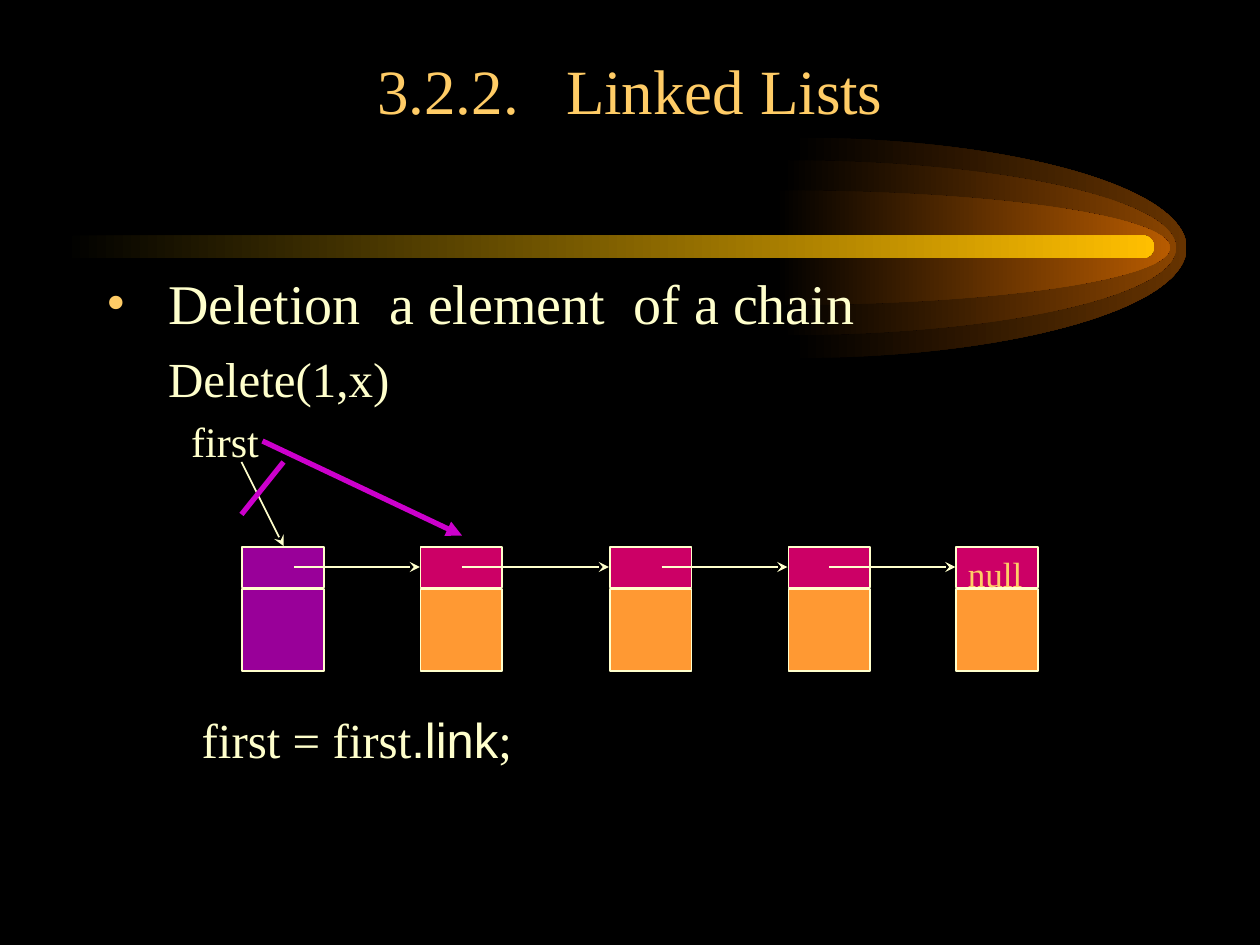
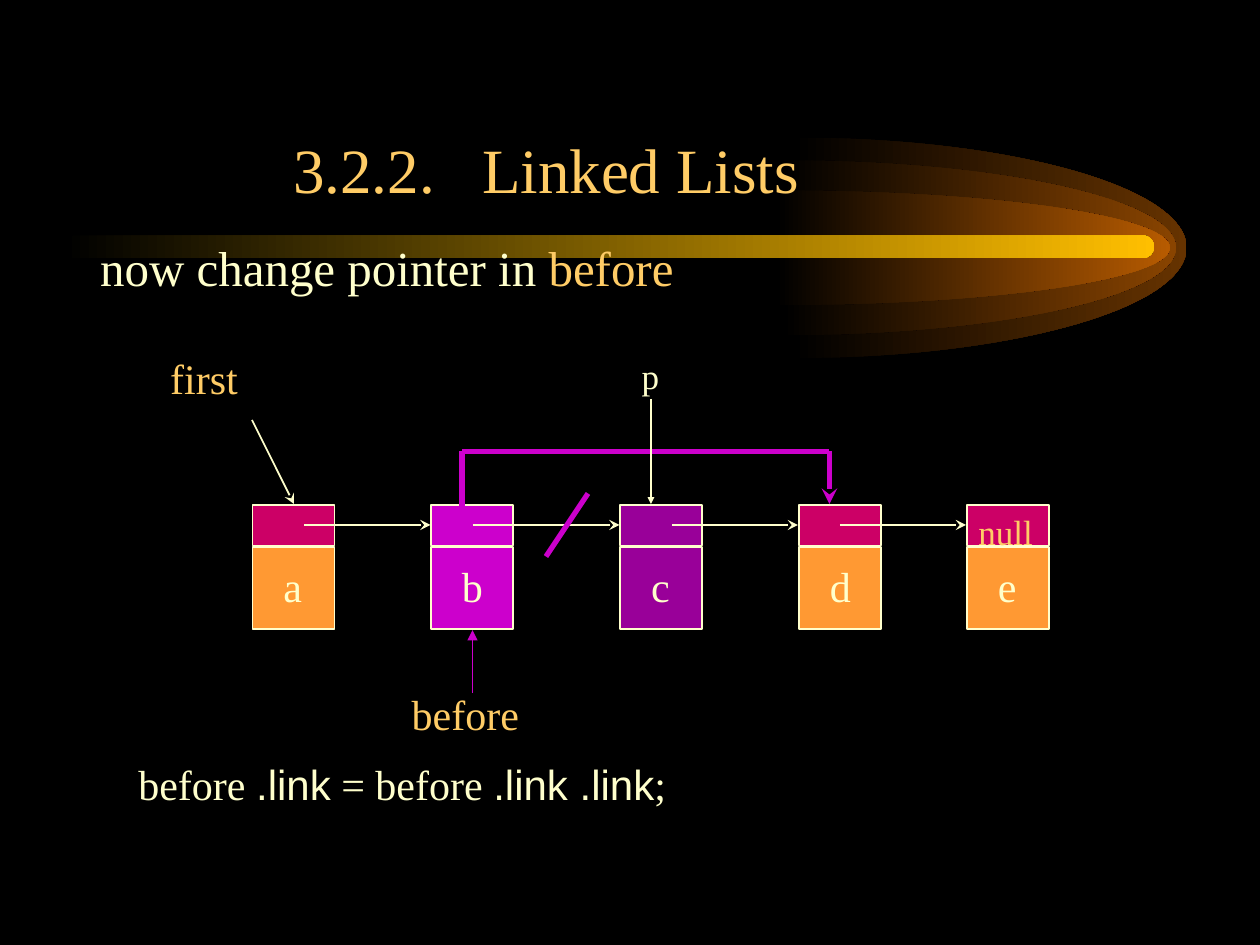
from lxml import etree
from pptx import Presentation, util as u
from pptx.dml.color import RGBColor
from pptx.enum import shapes, text
from pptx.oxml import ns

Pt = u.Pt
HUE = dict(black="000000", gold="FFCC66", cream="FFFFCC", pink="CC0066", orange="FF9933",
           plum="990099", violet="CC00CC", band="FFBF00",
           glow1="663300", glow2="894400", glow3="B75B00")
RGB = {name: RGBColor.from_string(code) for name, code in HUE.items()}
SERIF, SANS = "Times New Roman", "Arial"


def write(slide, box, paras, anchor=text.MSO_ANCHOR.TOP):
    frame = slide.shapes.add_textbox(*map(Pt, box)).text_frame
    frame.word_wrap = True
    frame.vertical_anchor = anchor
    for i, (form, runs) in enumerate(paras):
        para = frame.paragraphs[0] if i == 0 else frame.add_paragraph()
        para.alignment = form.get("align", text.PP_ALIGN.LEFT)
        para.space_before = Pt(form.get("before", 0))
        props = para._p.get_or_add_pPr()
        if "left" in form:
            props.set("marL", str(Pt(form["left"])))
        if "dot" in form:
            props.set("indent", str(-Pt(form["left"])))
            tint = etree.SubElement(props, ns.qn("a:buClr"))
            etree.SubElement(tint, ns.qn("a:srgbClr"), val=HUE["gold"])
            etree.SubElement(props, ns.qn("a:buFont"), typeface=SERIF)
            etree.SubElement(props, ns.qn("a:buChar"), char=form["dot"])
        for words, extra in runs:
            run = para.add_run()
            run.text = words
            look = dict(name=SERIF, size=Pt(form["size"])) | extra
            run.font.color.rgb = RGB[look.pop("hue", form["hue"])]
            gap = look.pop("gap", 0)
            for key, value in look.items():
                setattr(run.font, key, value)
            if gap:
                run._r.get_or_add_rPr().set("spc", str(gap * 100))


def draw(slide, start, end, hue="cream", width=1, tail=None, size="med"):
    wire = slide.shapes.add_connector(shapes.MSO_CONNECTOR.STRAIGHT, *map(Pt, start + end))
    wire.line.color.rgb = RGB[hue]
    wire.line.width = Pt(width)
    if tail:
        etree.SubElement(wire.line._get_or_add_ln(), ns.qn("a:tailEnd"),
                         type=tail, w=size, len=size)
    etree.SubElement(wire._element.spPr, ns.qn("a:effectLst"))


GLOWS = [(453, 63, "glow1"), (447, 50, "glow2"), (443.5, 32.8, "glow3")]
MID, REACH, BEND = 141.6, 225, 0.55
LEFTS = [138.3, 240.3, 348.4, 450.5, 546.5]
LINKS = [(168, 240), (264, 348), (378, 450), (474, 546)]
SIDE, HEAD = 46.8, 23.2
BASE = ("pink", "orange")
PLUM, VIOLET = ("plum", "plum"), ("violet", "violet")
PLAIN = {}
CODE = dict(name=SANS)

PAGES = [
    dict(
        title=(54, 18, 612, 66), shift=(0, 0), letters="",
        nodes=[PLUM, BASE, BASE, BASE, BASE],
        texts=[
            ((54, 150, 612, 324), [
                (dict(size=32, hue="cream", left=35, dot="•"),
                 [("Deletion", PLAIN), (" ", dict(gap=8)), ("a element", PLAIN),
                  (" ", dict(gap=8)), ("of a chain", PLAIN)]),
                (dict(size=28, hue="cream", left=35, before=7), [("Delete(1,x)", PLAIN)])]),
            ((102.2, 234, 132, 36), [(dict(size=24, hue="cream"), [("first", PLAIN)])]),
            ((108.2, 402, 504, 54), [
                (dict(size=28, hue="cream"),
                 [("first = first", PLAIN), (".link", CODE), (";", PLAIN)])]),
        ],
        lines=[
            ((138, 264), (162, 312), "cream", 1, "stealth"),
            ((150, 252), (264, 306), "violet", 3, "triangle"),
            ((162, 264), (138, 294), "violet", 3),
        ]),
    dict(
        title=(18, 66, 588, 60), shift=(6, -24), letters="abcde",
        nodes=[BASE, VIOLET, PLUM, BASE, BASE],
        texts=[
            ((36, 132, 612, 372), [
                (dict(size=28, hue="cream", left=14.2),
                 [("now change pointer in ", PLAIN), ("before", dict(hue="gold"))])]),
            ((72, 430, 612, 42), [
                (dict(size=24, hue="cream"),
                 [("before ", PLAIN), (".link", CODE), (" = before ", PLAIN),
                  (".link .link", CODE), (";", PLAIN)])]),
            ((228.2, 390, 144, 36), [(dict(size=24, hue="gold"), [("before", PLAIN)])]),
            ((90.2, 198, 132, 36), [(dict(size=24, hue="gold"), [("first", PLAIN)])]),
            ((359.6, 199, 30, 32), [(dict(size=20, hue="cream"), [("p", PLAIN)])]),
        ],
        lines=[
            ((144, 240), (168, 288), "cream", 1, "stealth"),
            ((264, 300), (264, 258), "violet", 3),
            ((264, 258), (474, 258), "violet", 3),
            ((474, 258), (474, 288), "violet", 3, "stealth"),
            ((336, 282), (312, 318), "violet", 3),
            ((270, 396), (270, 360), "violet", 1, "triangle"),
            ((372, 228), (372, 288), "cream", 1, "triangle", "sm"),
        ]),
]

deck = Presentation()
deck.slide_width, deck.slide_height = Pt(720), Pt(540)
fill = deck.slide_master.background.fill
fill.solid()
fill.fore_color.rgb = RGB["black"]

for page in PAGES:
    slide = deck.slides.add_slide(deck.slide_layouts[6])

    bands = []
    for left, rise, hue in GLOWS:
        form = slide.shapes.build_freeform(Pt(left), Pt(MID - rise))
        ends = [(left + REACH, MID), (left, MID + rise), (left, MID)]
        form.add_line_segments([(Pt(x), Pt(y)) for x, y in ends], close=True)
        glow = form.convert_to_shape()
        near, far = BEND * REACH, BEND * rise
        bends = [[(near, 0), (REACH, rise - far)], [(REACH, rise + far), (near, 2 * rise)]]
        for side, pulls in zip(glow._element.xpath(".//a:lnTo"), bends):
            side.tag = ns.qn("a:cubicBezTo")
            for i, (x, y) in enumerate(pulls):
                side.insert(i, etree.Element(ns.qn("a:pt"), x=str(Pt(x)), y=str(Pt(y))))
        bands.append((glow, hue))
    bar = slide.shapes.add_shape(shapes.MSO_SHAPE.ROUNDED_RECTANGLE,
                                 Pt(36), Pt(134.5), Pt(623.5), Pt(13))
    bar.adjustments[0] = 0.5
    bands.append((bar, "band"))
    for band, hue in bands:
        band.shadow.inherit = False
        band.line.fill.background()
        band.fill.gradient()
        band.fill.gradient_angle = 0
        for stop, place, tone in zip(band.fill.gradient_stops, (0, 1), ("black", hue)):
            stop.position = place
            stop.color.rgb = RGB[tone]

    write(slide, page["title"], [
        (dict(size=36, hue="gold", align=text.PP_ALIGN.CENTER),
         [("3.2.2.", PLAIN), (" ", dict(gap=18)), ("Linked Lists", PLAIN)])],
        text.MSO_ANCHOR.MIDDLE)

    dx, dy = page["shift"]
    top = 312.6 + dy
    for left, hues in zip(LEFTS, page["nodes"]):
        parts = [(top, HEAD), (top + HEAD + 0.7, SIDE)]
        for (y, tall), hue in zip(parts, hues):
            cell = slide.shapes.add_shape(shapes.MSO_SHAPE.RECTANGLE,
                                          Pt(left + dx), Pt(y), Pt(SIDE), Pt(tall))
            cell.shadow.inherit = False
            cell.fill.solid()
            cell.fill.fore_color.rgb = RGB[hue]
            cell.line.color.rgb = RGB["cream"]
            cell.line.width = Pt(1)
    for left, mark in zip(LEFTS, page["letters"]):
        write(slide, (left + dx + 10.6, top + 28, 36, 36),
              [(dict(size=24, hue="cream"), [(mark, PLAIN)])])
    for start, end in LINKS:
        draw(slide, (start + dx, 324 + dy), (end + dx, 324 + dy), tail="stealth")
    write(slide, (546 + dx, 312 + dy, 48, 31), [(dict(size=20, hue="gold"), [("null", PLAIN)])])

    for box, paras in page["texts"]:
        write(slide, box, paras)
    for line in page["lines"]:
        draw(slide, *line)

deck.save("out.pptx")
